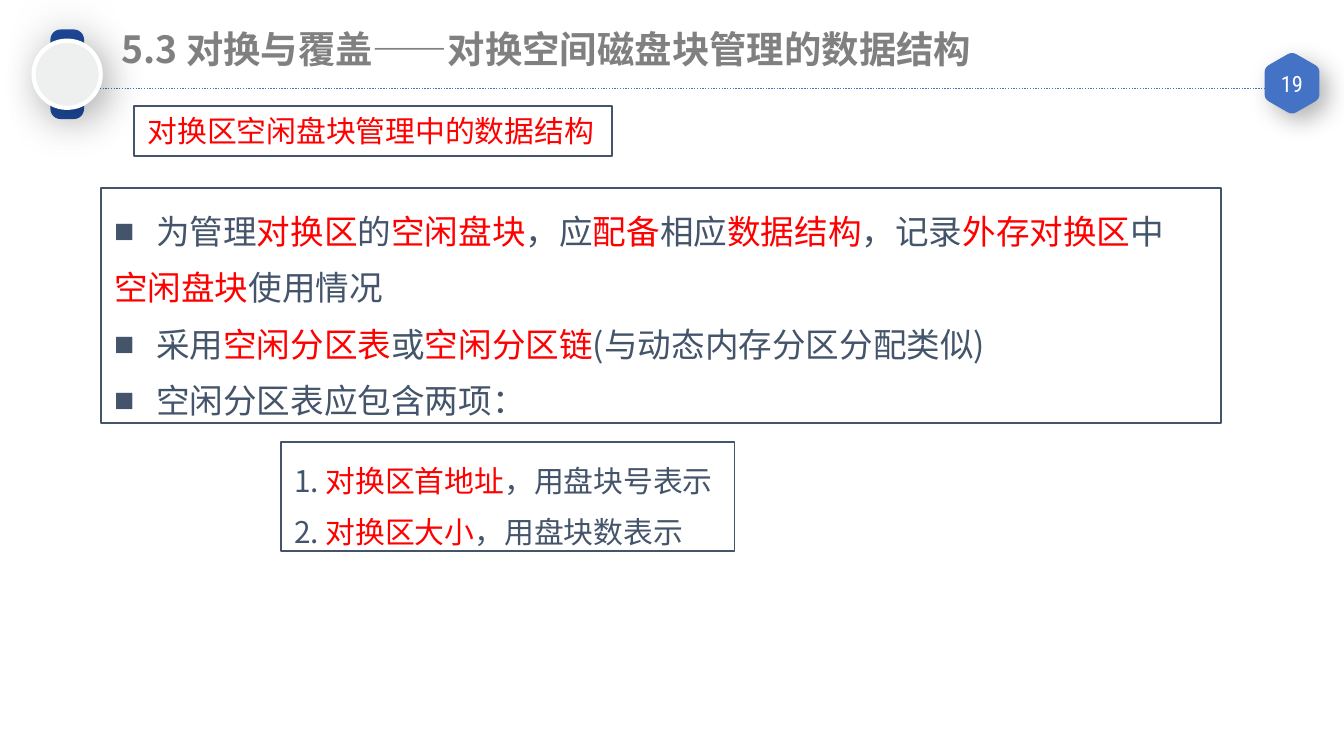
from dataclasses import dataclass

from lxml import etree
from pptx import Presentation
from pptx import util as u
from pptx.dml.color import RGBColor
from pptx.enum import dml, shapes, text
from pptx.oxml import ns

Pt = u.Pt


@dataclass(frozen=True)
class Theme:
    """Colours, fonts and type sizes of the slide."""
    accent: str = "4472C4"
    strap: str = "1D4999"
    dial: str = "EEF0F0"
    white: str = "FFFFFF"
    shadow: str = "000000"
    heading: str = "808080"
    ink: str = "44546A"
    emphasis: str = "FF0000"
    font: str = "Noto Sans CJK SC"
    number_font: str = "Roboto Condensed"
    bullet_font: str = "Arial"
    title_size: int = 20
    body_size: int = 18
    label_size: int = 16
    number_size: int = 12


THEME = Theme()


def colour(value):
    """Turn a hex string into a colour."""
    return RGBColor.from_string(value)


def add_element(parent, tag, **attributes):
    """Append a DrawingML element and return it."""
    return etree.SubElement(parent, ns.qn(tag), attributes)


def paint(shape, fill=None, line=None, width=1):
    """Set fill and outline, leaving out whichever is not given."""
    shape.shadow.inherit = False
    for part, value in ((shape.fill, fill), (shape.line.fill, line)):
        if value:
            part.solid()
            part.fore_color.rgb = colour(value)
        else:
            part.background()
    if line:
        shape.line.width = Pt(width)


def cast_shadow(shape, alpha, blur, distance, angle):
    """Give a shape a soft outer shadow."""
    effects = shape._element.spPr.find(ns.qn("a:effectLst"))
    shadow = add_element(effects, "a:outerShdw", blurRad=str(Pt(blur)), dist=str(Pt(distance)),
                         dir=str(angle * 60000), algn="ctr", rotWithShape="0")
    shade = add_element(shadow, "a:srgbClr", val=THEME.shadow)
    add_element(shade, "a:alpha", val=str(alpha * 1000))


def set_margins(frame, horizontal, vertical):
    """Set equal margins on opposite sides of a text frame."""
    frame.margin_left = frame.margin_right = Pt(horizontal)
    frame.margin_top = frame.margin_bottom = Pt(vertical)


def format_run(run, size, value, font=THEME.font, bold=False):
    """Set the type of one run for Latin and Chinese text."""
    run.font.size = Pt(size)
    run.font.bold = bold
    run.font.color.rgb = colour(value)
    run.font.name = font
    add_element(run._r.get_or_add_rPr(), "a:ea", typeface=font)


def add_bullet(paragraph, indent=22.5):
    """Give a paragraph a square bullet with a hanging indent."""
    properties = paragraph._p.get_or_add_pPr()
    properties.set("marL", str(Pt(indent)))
    properties.set("indent", str(-Pt(indent)))
    add_element(properties, "a:buFont", typeface=THEME.bullet_font)
    add_element(properties, "a:buChar", char="■")


def add_framed_text(slide, box, lines, size, spacing=None, wrap=False):
    """Draw an outlined box; text between bars is emphasised, a leading ■ is a bullet."""
    shape = slide.shapes.add_shape(shapes.MSO_SHAPE.RECTANGLE, *map(Pt, box))
    paint(shape, line=THEME.ink)
    frame = shape.text_frame
    frame.word_wrap = wrap
    frame.vertical_anchor = text.MSO_ANCHOR.TOP
    frame.auto_size = text.MSO_AUTO_SIZE.SHAPE_TO_FIT_TEXT
    for index, line in enumerate(lines):
        paragraph = frame.add_paragraph() if index else frame.paragraphs[0]
        if line.startswith("■"):
            add_bullet(paragraph)
        paragraph.alignment = text.PP_ALIGN.LEFT
        if spacing:
            paragraph.line_spacing = spacing
        for order, words in enumerate(line.removeprefix("■").split("|")):
            if words:
                run = paragraph.add_run()
                run.text = words
                format_run(run, size, THEME.emphasis if order % 2 else THEME.ink)


def add_rule(slide, left, right, top):
    """Draw the dotted rule under the title."""
    rule = slide.shapes.add_connector(shapes.MSO_CONNECTOR.STRAIGHT,
                                      *map(Pt, (left, top, right, top)))
    rule.line.color.rgb = colour(THEME.accent)
    rule.line.width = Pt(0.75)
    rule.line.dash_style = dml.MSO_LINE.ROUND_DOT
    add_element(rule._element.spPr, "a:effectLst")


def hexagon_points(left, top, width, height, cut=0.15, steps=4):
    """Return the outline of an upright hexagon with rounded corners."""
    corners = [(left + x * width, top + y * height) for x, y in
               ((0.5, 0), (1, 0.25), (1, 0.75), (0.5, 1), (0, 0.75), (0, 0.25))]
    points = []
    for index, corner in enumerate(corners):
        before, after = corners[index - 1], corners[(index + 1) % len(corners)]
        for step in range(steps + 1):
            t = step / steps
            pull = cut * (1 - t) ** 2, cut * t ** 2
            points.append(tuple(c + pull[0] * (b - c) + pull[1] * (a - c)
                                for b, c, a in zip(before, corner, after)))
    return points


def add_page_badge(slide, box, number):
    """Draw the hexagon with the page number."""
    left, top, width, height = box
    points = [(Pt(x), Pt(y)) for x, y in hexagon_points(*box)]
    builder = slide.shapes.build_freeform(*points[0], scale=1.0)
    builder.add_line_segments(points[1:], close=True)
    badge = builder.convert_to_shape()
    paint(badge, THEME.accent, THEME.accent)
    cast_shadow(badge, 30, 13, 6, 45)
    label = slide.shapes.add_textbox(Pt(left), Pt(top + height / 2 - 9), Pt(width), Pt(18))
    frame = label.text_frame
    frame.word_wrap = True
    frame.vertical_anchor = text.MSO_ANCHOR.MIDDLE
    set_margins(frame, 5, 2.5)
    frame.text = number
    paragraph = frame.paragraphs[0]
    paragraph.alignment = text.PP_ALIGN.CENTER
    format_run(paragraph.runs[0], THEME.number_size, THEME.white, THEME.number_font)


def add_emblem(slide, box):
    """Draw the round dial on its upright strap."""
    left, top, width, height = box
    dial = width * 0.75
    strap_width = dial / 2
    middle = left + width / 2
    strap = slide.shapes.add_shape(shapes.MSO_SHAPE.ROUNDED_RECTANGLE, Pt(middle - strap_width / 2),
                                   Pt(top), Pt(strap_width), Pt(height))
    strap.adjustments[0] = 0.3
    paint(strap, THEME.strap)
    cast_shadow(strap, 17, 27, 0, 0)
    face = slide.shapes.add_shape(shapes.MSO_SHAPE.OVAL, Pt(middle - dial / 2),
                                  Pt(top + (height - dial) / 2), Pt(dial), Pt(dial))
    paint(face, THEME.dial, THEME.white, 2.25)
    cast_shadow(face, 28, 22, 6, 45)


def add_title(slide, box, words):
    """Place the slide title."""
    frame = slide.shapes.add_textbox(*map(Pt, box)).text_frame
    frame.word_wrap = True
    frame.auto_size = text.MSO_AUTO_SIZE.SHAPE_TO_FIT_TEXT
    set_margins(frame, 5, 2.7)
    frame.text = words
    format_run(frame.paragraphs[0].runs[0], THEME.title_size, THEME.heading, bold=True)


def main():
    """Build and save the slide."""
    presentation = Presentation()
    presentation.slide_width, presentation.slide_height = Pt(720), Pt(405)
    slide = presentation.slides.add_slide(presentation.slide_layouts[6])
    add_rule(slide, 24, 679, 47.4)
    add_page_badge(slide, (678, 28.3, 28.4, 32.6), "19")
    add_emblem(slide, (12, 15.8, 48, 48))
    add_title(slide, (60, 11.5, 504, 29.5), "5.3 对换与覆盖——对换空间磁盘块管理的数据结构")
    add_framed_text(slide, (54, 100.8, 600, 126), [
        "■为管理|对换区|的|空闲盘块|，应|配备|相应|数据结构|，记录|外存对换区|中",
        "|空闲盘块|使用情况",
        "■采用|空闲分区表|或|空闲分区链|(与动态内存分区分配类似)",
        "■空闲分区表应包含两项：",
    ], THEME.body_size, 1.4, wrap=True)
    add_framed_text(slide, (150.5, 236.9, 243, 58.3), [
        "1. |对换区首地址|，用盘块号表示",
        "2. |对换区大小|，用盘块数表示",
    ], THEME.label_size, 1.4)
    add_framed_text(slide, (72, 57, 256, 26.6), ["|对换区空闲盘块管理中的数据结构"], THEME.label_size)
    presentation.save("out.pptx")


if __name__ == "__main__":
    main()
